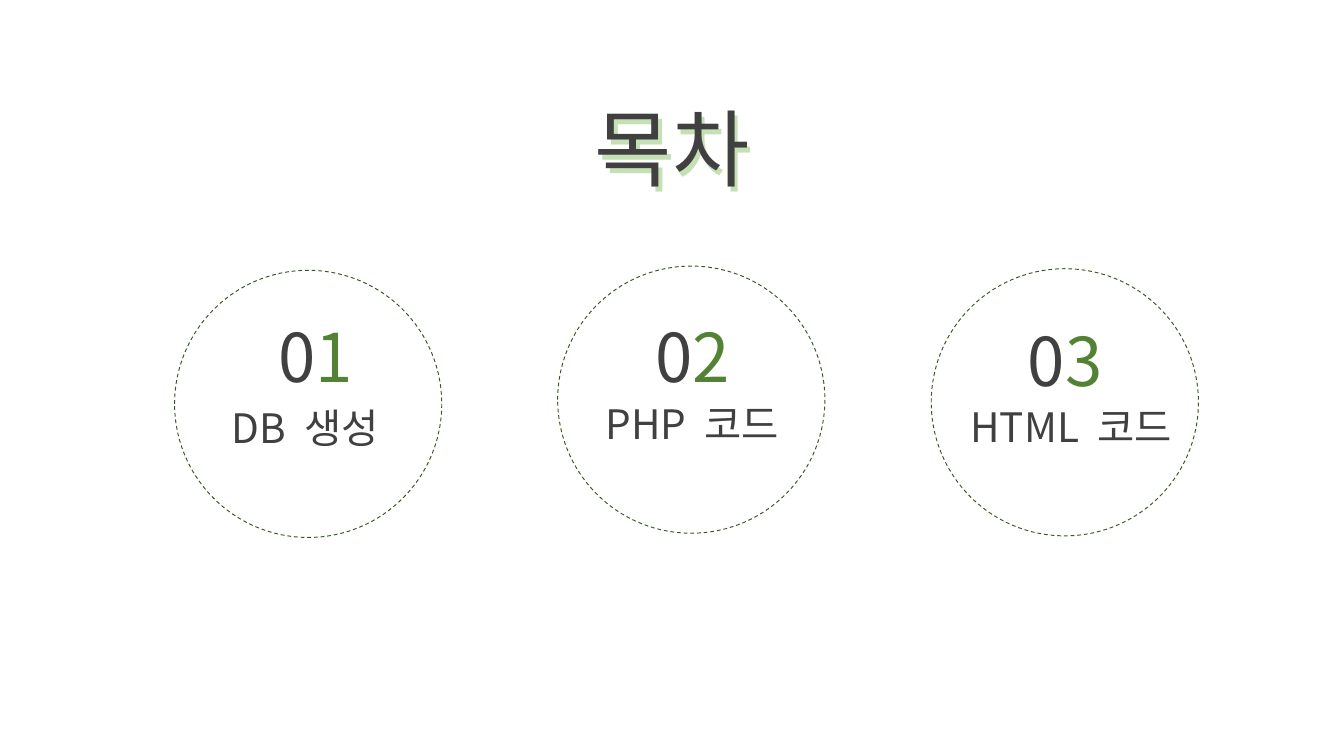
from pptx import Presentation
from pptx.dml.color import RGBColor
from pptx.enum.dml import MSO_LINE
from pptx.enum.shapes import MSO_SHAPE
from pptx.enum.text import MSO_ANCHOR, MSO_AUTO_SIZE, PP_ALIGN
from pptx.oxml.ns import qn
from pptx.util import Cm, Pt

FONT = "Noto Sans CJK KR"
DARK, GREEN, PALE_GREEN = "404040", "548235", "C5E0B4"
OUTLINE, WHITE = "385723", "FFFFFF"
WORD_GAP = 490  # extra width of the space in a label, in 1/100 pt

CIRCLE_SIZE = 5.05
NUMBER_SIZE = (2.82, 1.83)
LABEL_SIZE = (6.25, 0.91)

# digit, label words, then left and top of circle, number and label in cm
CHAPTERS = [
    ("3", ("HTML", "코드"), (17.6, 5.08), (18.72, 5.82), (17.12, 7.65)),
    ("2", ("PHP", "코드"), (10.54, 5.03), (11.68, 5.74), (9.96, 7.59)),
    ("1", ("DB", "생성"), (3.3, 5.11), (4.55, 5.74), (2.64, 7.67)),
]


def color(hex_value):
    return RGBColor.from_string(hex_value)


def lengths(*values):
    return [Cm(value) for value in values]


def write(shape, runs, size, line_spacing):
    """Fill a shape with one centred line of (text, colour, spacing) runs."""
    frame = shape.text_frame
    frame_format = {
        "word_wrap": True,
        "auto_size": MSO_AUTO_SIZE.NONE,
        "vertical_anchor": MSO_ANCHOR.BOTTOM,
        "margin_top": Cm(0.06),
        "margin_bottom": Cm(0.06),
    }
    for name, value in frame_format.items():
        setattr(frame, name, value)

    line = frame.paragraphs[0]
    line_format = {
        "alignment": PP_ALIGN.CENTER,
        "line_spacing": line_spacing,
        "space_before": Pt(0),
    }
    for name, value in line_format.items():
        setattr(line, name, value)

    for text, hex_value, spacing in runs:
        run = line.add_run()
        run.text = text
        for name, value in {"name": FONT, "size": Pt(size), "bold": False}.items():
            setattr(run.font, name, value)
        run.font.color.rgb = color(hex_value)
        properties = run._r.get_or_add_rPr()
        properties.set("spc", str(spacing))
        # Korean letters take the East Asian font
        east_asian = properties.makeelement(qn("a:ea"), {"typeface": FONT})
        properties.find(qn("a:latin")).addnext(east_asian)


def add_title(slide):
    # Pale offset copy of the word lies behind the title
    title = slide.shapes.title
    shade = slide.shapes.add_textbox(*lengths(3.25, 1.62, 19.05, 2.29))
    write(shade, [("목차", PALE_GREEN, 0)], 45, 0.9)

    title.left, title.top, title.width, title.height = lengths(3.18, 1.52, 19.05, 2.29)
    write(title, [("목차", DARK, 0)], 45, 0.9)
    shade._element.addnext(title._element)


def add_chapter(slide, digit, words, circle_at, number_at, label_at):
    chapter = slide.shapes.add_group_shape().shapes

    # Dashed circle
    circle = chapter.add_shape(
        MSO_SHAPE.OVAL, *lengths(*circle_at, CIRCLE_SIZE, CIRCLE_SIZE))
    circle.shadow.inherit = False
    circle.fill.solid()
    circle.fill.fore_color.rgb = color(WHITE)
    circle.line.color.rgb = color(OUTLINE)
    circle.line.width = Pt(0.5)
    circle.line.dash_style = MSO_LINE.DASH

    # Two-coloured number
    number = chapter.add_textbox(*lengths(*number_at, *NUMBER_SIZE))
    write(number, [("0", DARK, 0), (digit, GREEN, 0)], 36, 0.9)

    # Label with a wide word gap
    first, second = words
    label = chapter.add_textbox(*lengths(*label_at, *LABEL_SIZE))
    write(label, [(first, DARK, 0), (" ", DARK, WORD_GAP), (second, DARK, 0)], 21.7, 0.7)


def main():
    deck = Presentation()
    deck.slide_width, deck.slide_height = lengths(25.4, 14.29)
    slide = deck.slides.add_slide(deck.slide_layouts[5])
    slide.background.fill.solid()
    slide.background.fill.fore_color.rgb = color(WHITE)

    add_title(slide)
    for chapter in CHAPTERS:
        add_chapter(slide, *chapter)
    deck.save("out.pptx")


if __name__ == "__main__":
    main()
